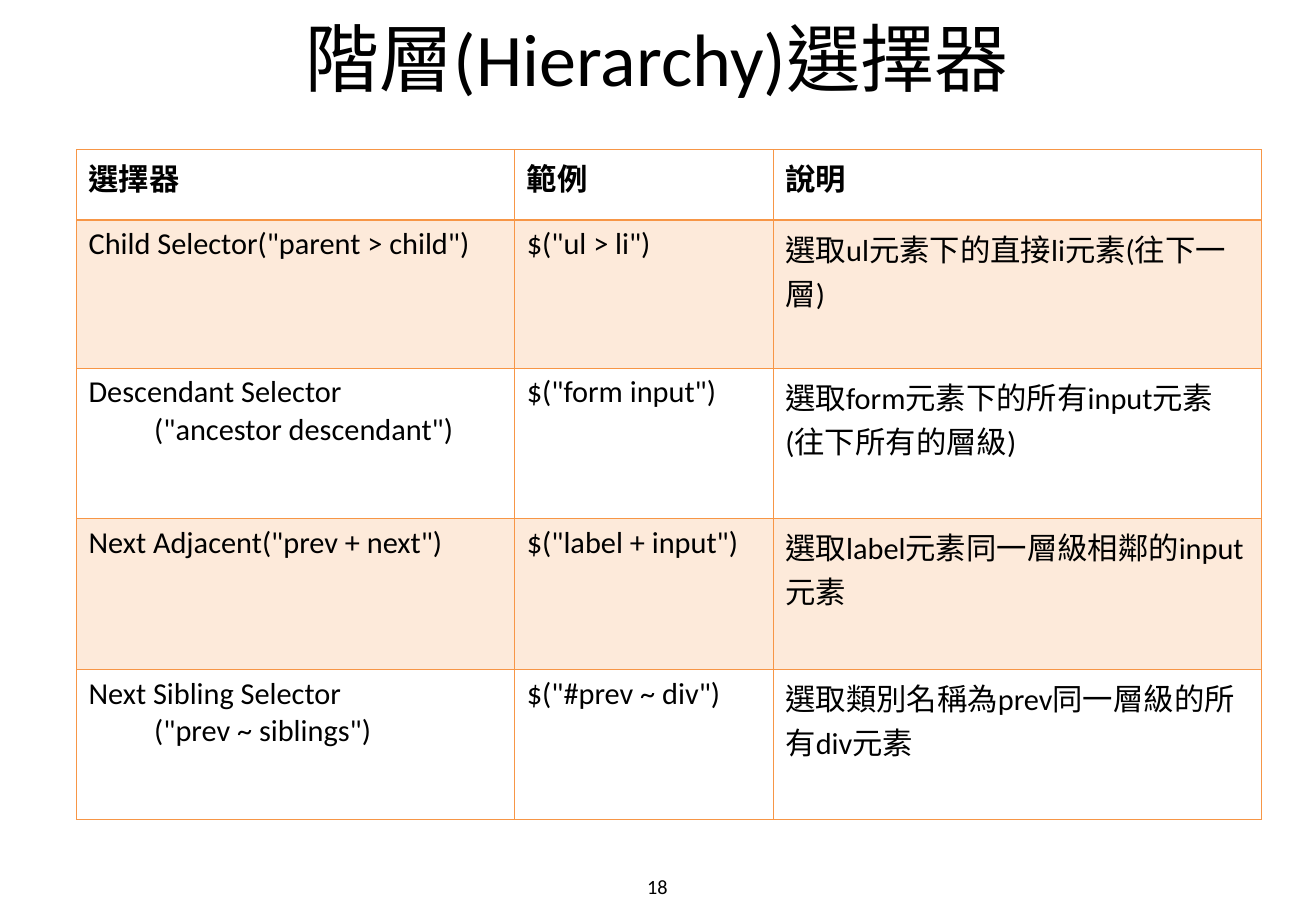
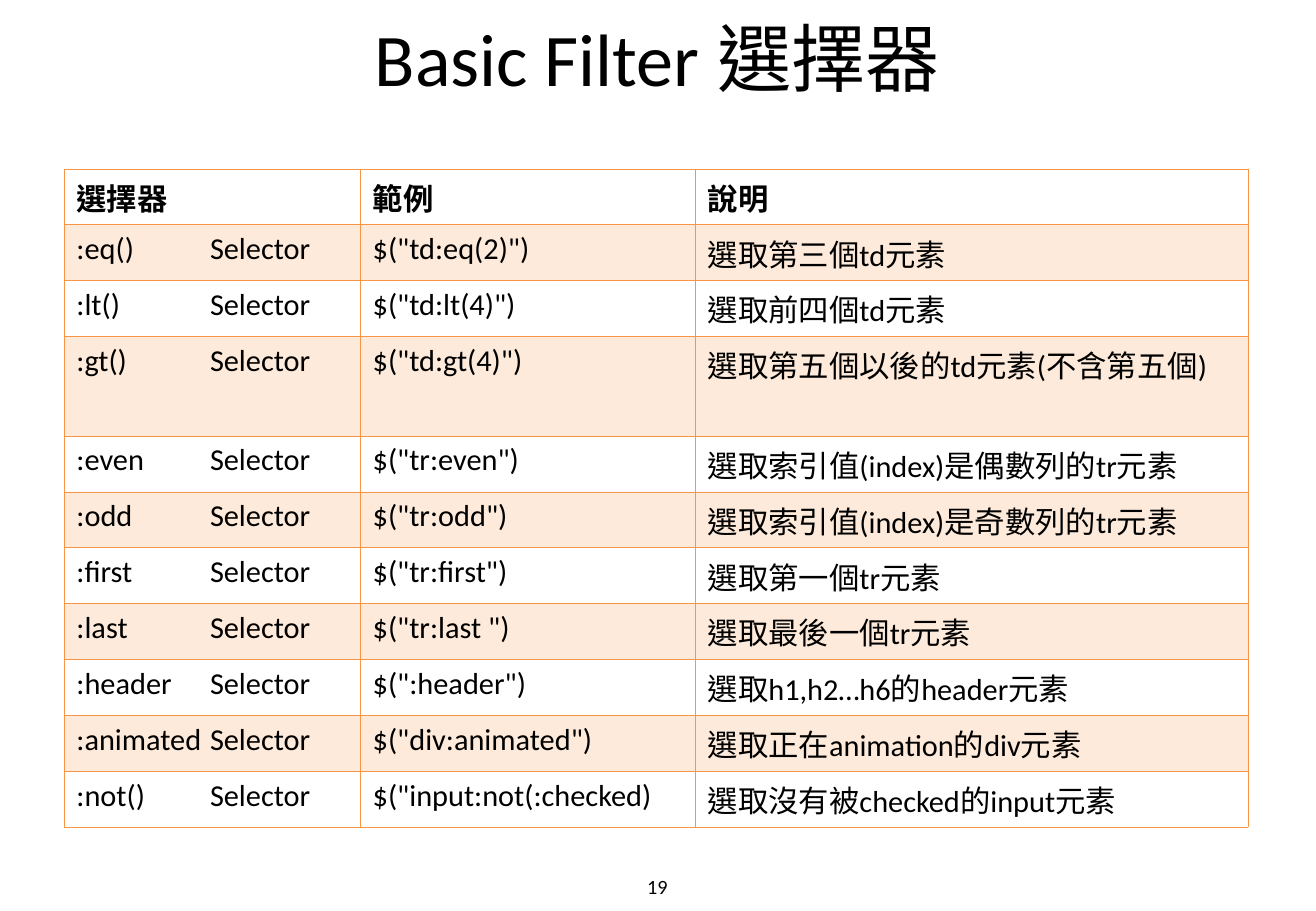
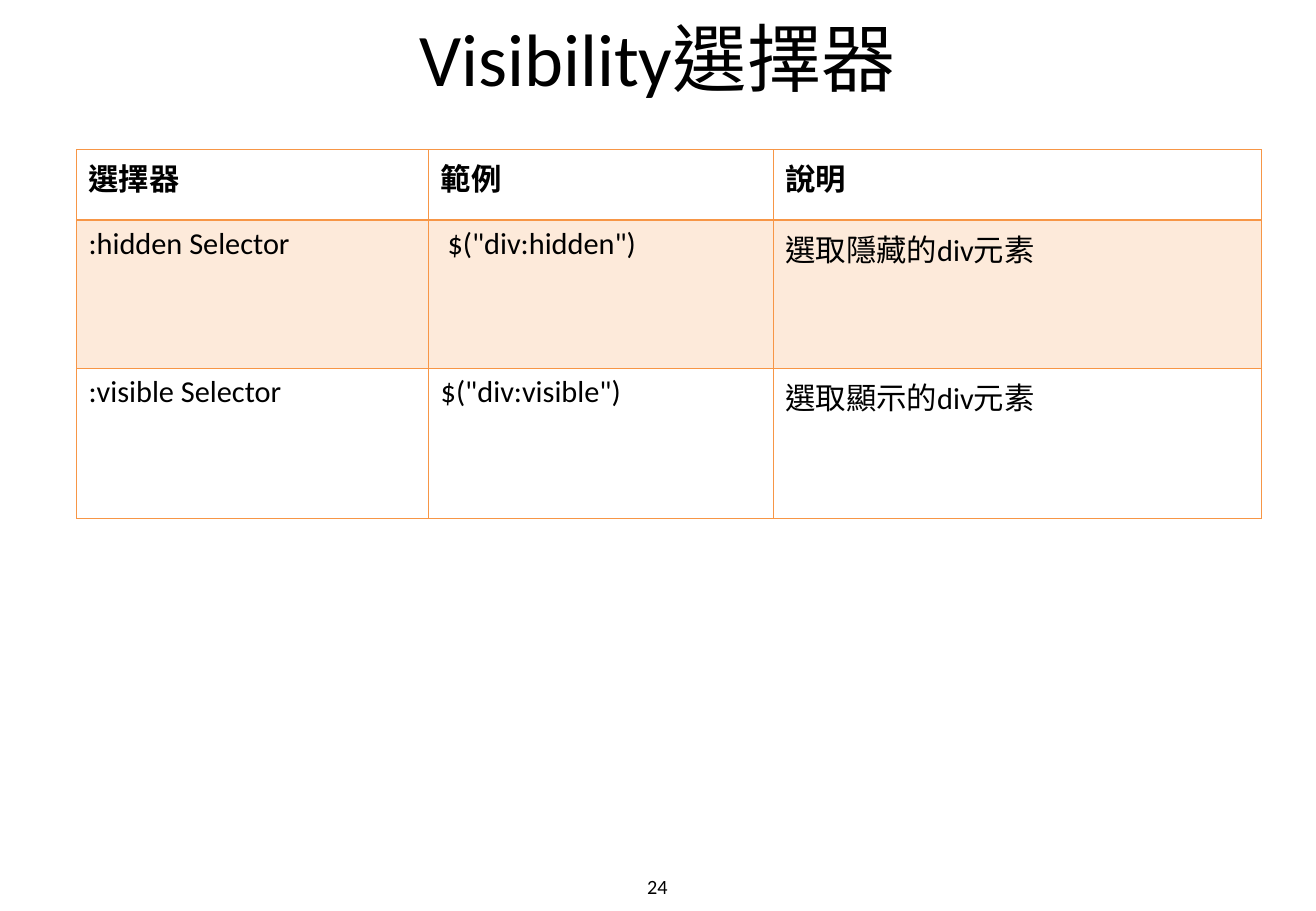
from lxml import etree
from pptx import Presentation
from pptx.dml.color import RGBColor
from pptx.enum.lang import MSO_LANGUAGE_ID
from pptx.enum.text import MSO_ANCHOR, PP_ALIGN
from pptx.oxml.ns import qn
from pptx.util import Inches, Pt

BLACK = RGBColor(0x00, 0x00, 0x00)
ORANGE = RGBColor(0xF7, 0x96, 0x46)
FONT = "Calibri"
CENTER, LEFT = PP_ALIGN.CENTER, PP_ALIGN.LEFT
MIDDLE, TOP = MSO_ANCHOR.MIDDLE, MSO_ANCHOR.TOP
CHINESE = MSO_LANGUAGE_ID.TRADITIONAL_CHINESE

# Boxes as left, top, width, height
TITLE = (0.54, 0, 9.75, 0.94)
FOOTER = (3.7, 7.1, 3.43, 0.4)

TINT = 20          # opacity of banded rows, percent
THIN, THICK = 0.45, 0.96
INDENT = 0.54      # second line of a selector cell
TAB = 1.1          # where "Selector" starts after a name
HEAD = ("選擇器", "範例", "說明")

HIERARCHY = [
    ('Child Selector("parent > child")', '$("ul > li")',
     "選取ul元素下的直接li元素(往下一層)"),
    ('Descendant Selector\n("ancestor descendant")', '$("form input")',
     "選取form元素下的所有input元素(往下所有的層級)"),
    ('Next Adjacent("prev + next")', '$("label + input")',
     "選取label元素同一層級相鄰的input元素"),
    ('Next Sibling Selector\n("prev ~ siblings")', '$("#prev ~ div")',
     "選取類別名稱為prev同一層級的所有div元素"),
]
FILTERS = [
    (":eq()", '$("td:eq(2)")', "選取第三個td元素"),
    (":lt()", '$("td:lt(4)")', "選取前四個td元素"),
    (":gt()", '$("td:gt(4)")', "選取第五個以後的td元素(不含第五個)"),
    (":even", '$("tr:even")', "選取索引值(index)是偶數列的tr元素"),
    (":odd", '$("tr:odd")', "選取索引值(index)是奇數列的tr元素"),
    (":first", '$("tr:first")', "選取第一個tr元素"),
    (":last", '$("tr:last ")', "選取最後一個tr元素"),
    (":header", '$(":header")', "選取h1,h2…h6的header元素"),
    (":animated", '$("div:animated")', "選取正在animation的div元素"),
    (":not()", '$("input:not(:checked)', "選取沒有被checked的input元素"),
]
VISIBLE = [
    (":hidden Selector", ' $("div:hidden")', "選取隱藏的div元素"),
    (":visible Selector", '$("div:visible")', "選取顯示的div元素"),
]


def write(frame, text, size=18, bold=False, align=LEFT):
    """Fill a frame; lines after the first are indented, tabs get a stop."""
    frame.word_wrap = True
    for i, line in enumerate(text.split("\n")):
        para = frame.add_paragraph() if i else frame.paragraphs[0]
        para.alignment = align
        props = para._p.get_or_add_pPr()
        if i:
            props.set("marL", str(Inches(INDENT)))
        if "\t" in line:
            stops = etree.SubElement(props, qn("a:tabLst"))
            etree.SubElement(stops, qn("a:tab"), pos=str(Inches(TAB)), algn="l")
        run = para.add_run()
        run.text = line
        font = run.font
        font.name, font.size, font.bold = FONT, Pt(size), bold
        font.color.rgb = BLACK
        font.language_id = CHINESE


def label(slide, box, text, size):
    """Centred text in a box."""
    frame = slide.shapes.add_textbox(*map(Inches, box)).text_frame
    frame.vertical_anchor = MIDDLE
    write(frame, text, size=size, align=CENTER)


def border(cell, top, bottom):
    """Orange lines on all four sides of a cell."""
    props = cell._tc.get_or_add_tcPr()
    for side, width in (("L", THIN), ("R", THIN), ("T", top), ("B", bottom)):
        line = etree.SubElement(props, qn("a:ln" + side), w=str(Pt(width)))
        fill = etree.SubElement(line, qn("a:solidFill"))
        etree.SubElement(fill, qn("a:srgbClr"), val=str(ORANGE))


def tint(cell):
    """Translucent orange fill."""
    cell.fill.solid()
    cell.fill.fore_color.rgb = ORANGE
    color = cell._tc.tcPr.find(qn("a:solidFill"))[0]
    etree.SubElement(color, qn("a:alpha"), val=str(TINT * 1000))


def grid(slide, left, top, cols, heights, rows):
    """Table with a bold head and every other row tinted."""
    rows = [HEAD] + rows
    table = slide.shapes.add_table(
        len(rows), len(cols), Inches(left), Inches(top),
        Inches(sum(cols)), Inches(sum(heights))).table
    table.first_row = table.horz_banding = False
    for col, width in zip(table.columns, cols):
        col.width = Inches(width)
    for r, (row, height) in enumerate(zip(rows, heights)):
        table.rows[r].height = Inches(height)
        for c, text in enumerate(row):
            cell = table.cell(r, c)
            cell.vertical_anchor = TOP
            border(cell, THICK if r == 1 else THIN, THICK if r == 0 else THIN)
            if r % 2:
                tint(cell)
            else:
                cell.fill.background()
            write(cell.text_frame, text, bold=r == 0)


def page(deck, title, number, **table):
    """Slide with a title, a table and a page number."""
    slide = deck.slides.add_slide(deck.slide_layouts[6])
    label(slide, TITLE, title, 44)
    label(slide, FOOTER, str(number), 12)
    grid(slide, **table)


def main():
    deck = Presentation()
    deck.slide_width, deck.slide_height = Inches(10.84), Inches(7.5)

    page(deck, "階層(Hierarchy)選擇器", 18, left=0.63, top=1.23,
         cols=[3.61, 2.13, 4.02], heights=[0.58, 1.22] + [1.24] * 3,
         rows=HIERARCHY)
    page(deck, "Basic Filter 選擇器", 19, left=0.53, top=1.39,
         cols=[2.44, 2.76, 4.55], heights=[0.46] * 3 + [0.82] + [0.46] * 7,
         rows=[(name + "\tSelector", code, note) for name, code, note in FILTERS])
    page(deck, "Visibility選擇器", 24, left=0.63, top=1.23,
         cols=[2.9, 2.84, 4.02], heights=[0.58, 1.22, 1.24], rows=VISIBLE)

    deck.save("out.pptx")


if __name__ == "__main__":
    main()
